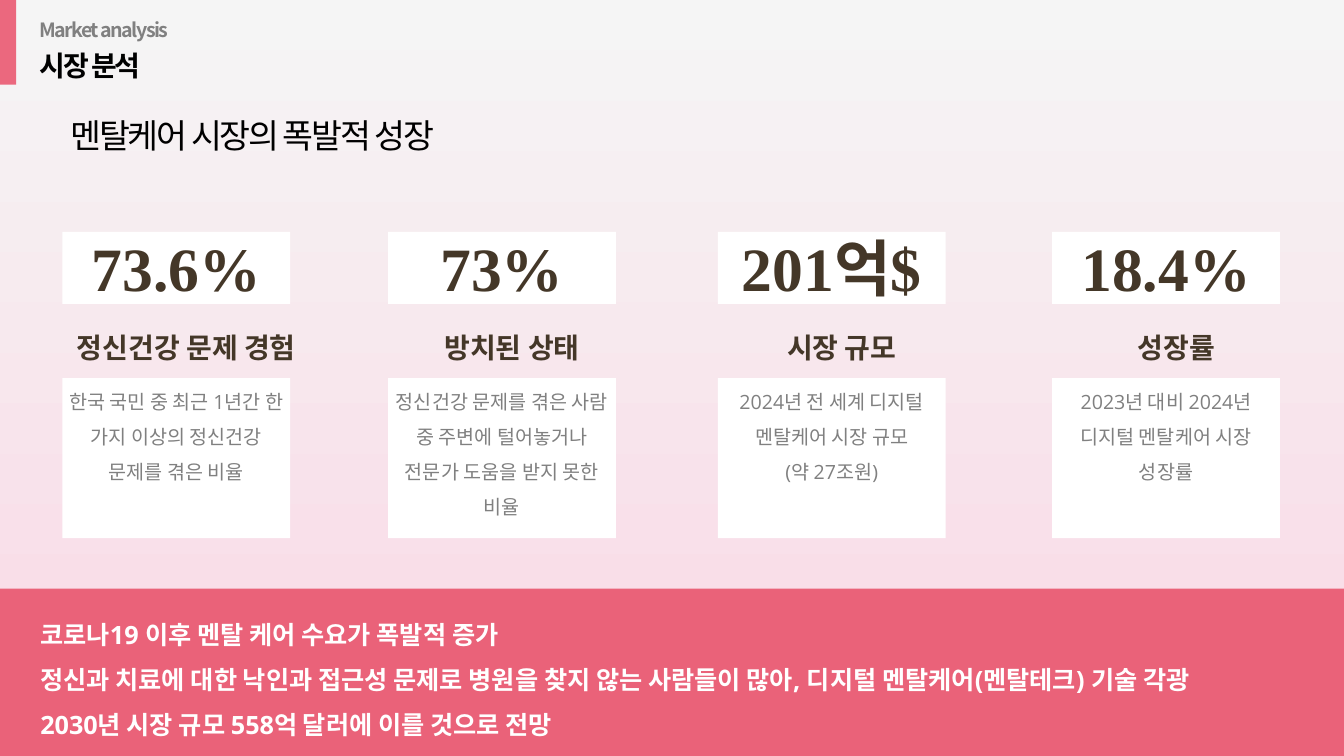
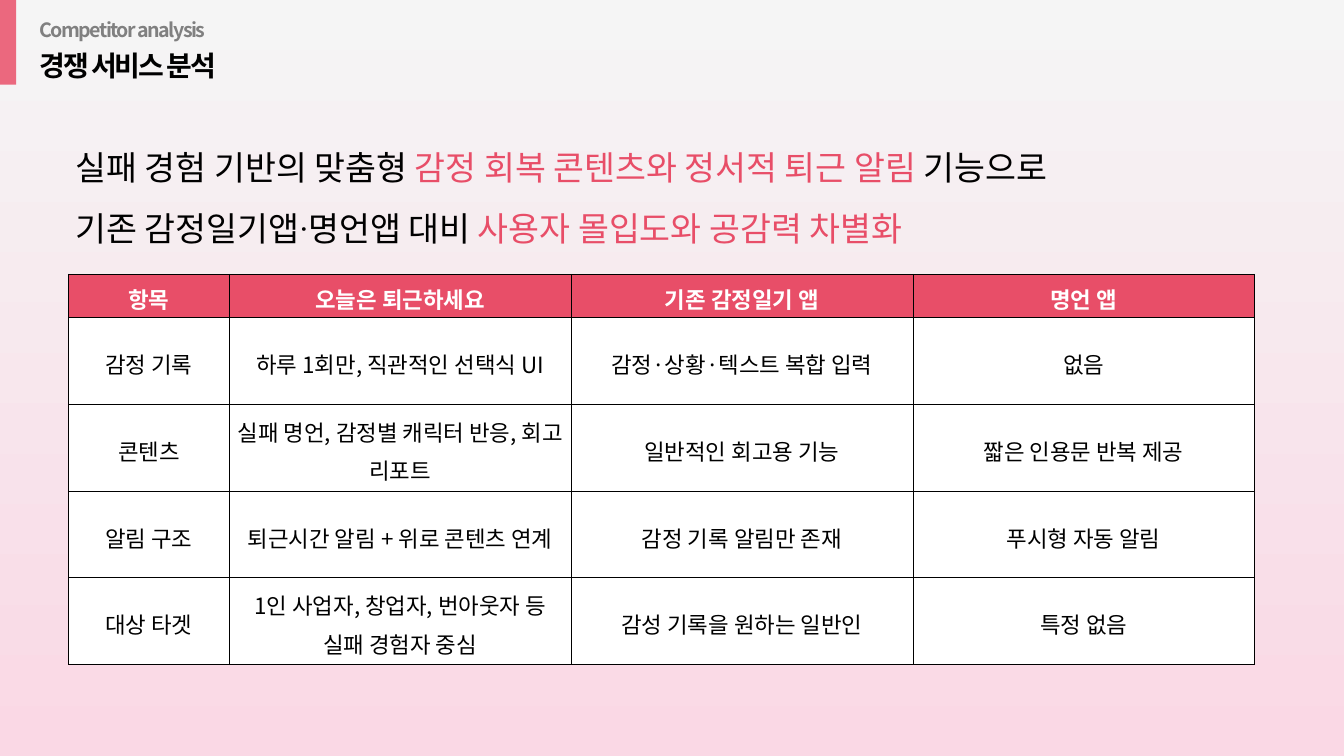
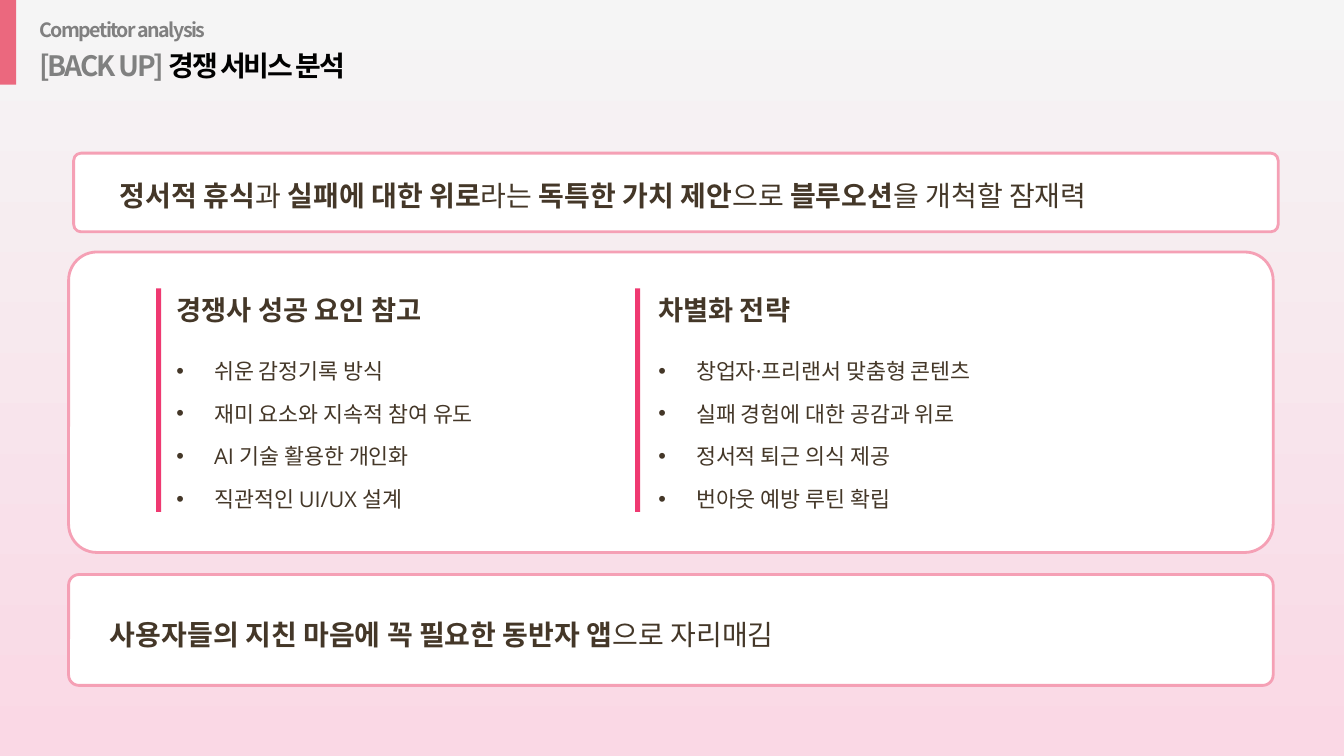
from dataclasses import dataclass

from lxml import etree
from pptx import Presentation
from pptx.dml.color import RGBColor
from pptx.enum import shapes as sh, text as tx
from pptx.oxml.ns import qn
from pptx.util import Pt


# Theme: colours, fonts and type sizes
@dataclass(frozen=True)
class Theme:
    sky: str = "F5F5F5"
    blush: str = "FAD8E5"
    tab: str = "EB687E"
    band: str = "EA6279"
    accent: str = "E84E68"
    rule: str = "EF3971"
    outline: str = "F5A0B5"
    white: str = "FFFFFF"
    black: str = "000000"
    grey: str = "808080"
    brown: str = "443728"
    korean: str = "Noto Sans CJK KR"
    body: str = "Open Sans"
    serif: str = "Times New Roman"
    lead: str = "Roboto"
    figure_size: float = 44
    lead_size: float = 24
    title_size: float = 20
    band_size: float = 18
    table_size: float = 16
    list_size: float = 15.5
    small_size: float = 14


T = Theme()
W, H = 960, 540
LEFT, CENTER = tx.PP_ALIGN.LEFT, tx.PP_ALIGN.CENTER
TOP, MIDDLE = tx.MSO_ANCHOR.TOP, tx.MSO_ANCHOR.MIDDLE
RECT, ROUND = sh.MSO_SHAPE.RECTANGLE, sh.MSO_SHAPE.ROUNDED_RECTANGLE

# Content: a paragraph is a string or a list of (text, run format) pairs
MARKET_LEAD = "멘탈케어 시장의 폭발적 성장"
MARKET_CARDS = [  # left edge, figure, label, explanation
    (44.6, "73.6%", "정신건강 문제 경험",
     ["한국 국민 중 최근 1년간 한 가지 이상의 정신건강 문제를 겪은 비율"]),
    (277.2, "73%", "방치된 상태",
     ["정신건강 문제를 겪은 사람 중 주변에 털어놓거나 전문가 도움을 받지 못한 비율"]),
    (512.8, "201억$", "시장 규모",
     ["2024년 전 세계 디지털 멘탈케어 시장 규모", "(약 27조원)"]),
    (751.6, "18.4%", "성장률",
     ["2023년 대비 2024년 디지털 멘탈케어 시장 성장률"]),
]
MARKET_SUMMARY = [
    "코로나19 이후 멘탈 케어 수요가 폭발적 증가",
    "정신과 치료에 대한 낙인과 접근성 문제로 병원을 찾지 않는 사람들이 많아, "
    "디지털 멘탈케어(멘탈테크) 기술 각광",
    "2030년 시장 규모 558억 달러에 이를 것으로 전망",
]
PINK, BOLD, GREY = {"color": T.accent}, {"bold": True}, {"color": T.grey}
RIVAL_LEAD = [
    [("실패 경험 기반의 맞춤형 ", {}),
     ("감정 회복 콘텐츠와 정서적 퇴근 알림", PINK), (" 기능으로", {})],
    [("기존 감정일기앱·명언앱 대비 ", {}), ("사용자 몰입도와 공감력 차별화", PINK)],
]
RIVAL_TABLE = [
    ("항목", "오늘은 퇴근하세요", "기존 감정일기 앱", "명언 앱"),
    ("감정 기록", "하루 1회만, 직관적인 선택식 UI", "감정·상황·텍스트 복합 입력", "없음"),
    ("콘텐츠", "실패 명언, 감정별 캐릭터 반응, 회고 리포트",
     "일반적인 회고용 기능", "짧은 인용문 반복 제공"),
    ("알림 구조", "퇴근시간 알림 + 위로 콘텐츠 연계", "감정 기록 알림만 존재", "푸시형 자동 알림"),
    ("대상 타겟", "1인 사업자, 창업자, 번아웃자 등 실패 경험자 중심",
     "감성 기록을 원하는 일반인", "특정 없음"),
]
BACKUP_TITLE = [("[BACK UP] ", GREY), ("경쟁 서비스 분석", {})]
BACKUP_PANELS = [  # left, top, height
    (52.6, 109.4, 56.2), (49, 180, 214.6), (49, 410.4, 79.2),
]
BACKUP_CLAIMS = [  # left, top, paragraph
    (85.7, 126.7, [("정서적 휴식", BOLD), ("과 ", {}), ("실패에 대한 위로", BOLD), ("라는 ", {}),
                   ("독특한 가치 제안", BOLD), ("으로 ", {}), ("블루오션", BOLD),
                   ("을 개척할 잠재력", {})]),
    (78.5, 440, [("사용자들의 지친 마음에 꼭 필요한 동반자 앱", BOLD), ("으로 자리매김", {})]),
]
BACKUP_LISTS = [  # rule left, text left, heading, items
    (111.6, 126, "경쟁사 성공 요인 참고",
     ["쉬운 감정기록 방식", "재미 요소와 지속적 참여 유도", "AI 기술 활용한 개인화",
      "직관적인 UI/UX 설계"]),
    (453.6, 470.2, "차별화 전략",
     ["창업자·프리랜서 맞춤형 콘텐츠", "실패 경험에 대한 공감과 위로", "정서적 퇴근 의식 제공",
      "번아웃 예방 루틴 확립"]),
]


# Helpers
def rgb(color):
    return RGBColor.from_string(color)


def add_run(p, text, size, font, color, bold=False, spacing=0):
    r = p.add_run()
    r.text = text
    r.font.size, r.font.bold, r.font.name = Pt(size), bold, font
    r.font.color.rgb = rgb(color)
    rpr = r.font._element
    if spacing:
        rpr.set("spc", str(round(spacing * 100)))
    etree.SubElement(rpr, qn("a:ea")).set("typeface", T.korean)


def write(tf, paragraphs, align=LEFT, line=1.0, gap=0, bullet=None, indent=0,
          inset=(0, 0), anchor=TOP, **font):
    """Fill a text frame; a line spacing above 10 is an exact height in points."""
    tf.word_wrap, tf.auto_size = True, tx.MSO_AUTO_SIZE.NONE
    tf.vertical_anchor = anchor
    tf.margin_left = tf.margin_right = Pt(inset[0])
    tf.margin_top = tf.margin_bottom = Pt(inset[1])
    for i, para in enumerate(paragraphs):
        p = tf.add_paragraph() if i else tf.paragraphs[0]
        ppr = p._p.get_or_add_pPr()
        ppr.set("marL", str(Pt(indent)))
        ppr.set("indent", str(-Pt(indent)))
        if bullet:
            etree.SubElement(ppr, qn("a:buChar")).set("char", bullet)
        else:
            etree.SubElement(ppr, qn("a:buNone"))
        p.alignment = align
        p.line_spacing = Pt(line) if line > 10 else line
        p.space_before, p.space_after = Pt(gap if i else 0), Pt(0)
        for text, extra in [(para, {})] if isinstance(para, str) else para:
            add_run(p, text, **{**font, **extra})


def add_block(s, box, fill, kind=RECT, outline=None):
    sp = s.shapes.add_shape(kind, *map(Pt, box))
    sp.shadow.inherit = False
    sp.fill.solid()
    sp.fill.fore_color.rgb = rgb(fill)
    if outline:
        sp.line.color.rgb, sp.line.width = rgb(outline), Pt(2)
    else:
        sp.line.fill.background()
    return sp


def add_text(s, box, paragraphs, **fmt):
    write(s.shapes.add_textbox(*map(Pt, box)).text_frame, paragraphs, **fmt)


def fill_placeholder(s, idx, box, paragraphs, **fmt):
    """Move a placeholder into place, above the shapes drawn so far."""
    ph = s.placeholders[idx]
    ph.left, ph.top, ph.width, ph.height = map(Pt, box)
    s.shapes._spTree.append(ph._element)
    write(ph.text_frame, paragraphs, **fmt)


def set_background(master):
    fill = master.background.fill
    fill.gradient()
    fill.gradient_angle = 270
    for stop, color in zip(fill.gradient_stops, (T.sky, T.blush)):
        stop.color.rgb = rgb(color)


def new_slide(prs, layout, kicker, title):
    s = prs.slides.add_slide(prs.slide_layouts[layout])
    add_block(s, (0, 0, 11.5, 60.5), T.tab)
    head = dict(font=T.korean, bold=True, inset=(7.2, 3.6))
    add_text(s, (20.9, 9.4, 400, 24.5), [kicker], size=T.small_size,
             color=T.grey, spacing=-1.1, **head)
    fill_placeholder(s, 0, (20.9, 31, 600, 31.7), [title], size=T.title_size,
                     color=T.black, spacing=-1.5, **head)
    return s


def set_borders(cell, color, width):
    tcpr = cell._tc.get_or_add_tcPr()
    for i, side in enumerate(("lnL", "lnR", "lnT", "lnB")):
        ln = etree.Element(qn("a:" + side), w=str(Pt(width)))
        fill = etree.SubElement(ln, qn("a:solidFill"))
        etree.SubElement(fill, qn("a:srgbClr")).set("val", color)
        tcpr.insert(i, ln)


# Slides
def market_slide(prs):
    s = new_slide(prs, 1, "Market analysis", "시장 분석")
    add_text(s, (43.2, 78.5, 500, 36), [MARKET_LEAD], size=T.lead_size,
             font=T.korean, color=T.black, spacing=-1.5, inset=(7.2, 3.6))
    card_w = 162.7
    strong = dict(align=CENTER, font=T.serif, color=T.brown, bold=True)
    for x, figure, label, note in MARKET_CARDS:
        sp = add_block(s, (x, 165.6, card_w, 51.5), T.white)
        write(sp.text_frame, [figure], line=51.5, size=T.figure_size, **strong)
        add_text(s, (x + 7.2, 236.2, card_w, 24.5), [label], line=24,
                 size=T.title_size, **strong)
        sp = add_block(s, (x, 270, card_w, 114.5), T.white)
        write(sp.text_frame, note, align=CENTER, line=25, size=T.small_size,
              font=T.body, color=T.grey)
    add_block(s, (0, 420.5, W, H - 420.5), T.band)
    fill_placeholder(s, 1, (28.8, 431.3, 922, 100), MARKET_SUMMARY, line=1.5,
                     size=T.band_size, font=T.body, color=T.white, bold=True)


def rival_slide(prs):
    s = new_slide(prs, 1, "Competitor analysis", "경쟁 서비스 분석")
    fill_placeholder(s, 1, (46.8, 87.1, 825, 90.7), RIVAL_LEAD, line=1.5,
                     size=T.lead_size, font=T.lead, color=T.black, inset=(7.2, 3.6))
    widths = [114.8] + [244.1] * 3
    heights = [31] + [61.9] * 4
    frame = s.shapes.add_table(len(heights), len(widths), Pt(49), Pt(195.8),
                               Pt(sum(widths)), Pt(sum(heights)))
    table = frame.table
    table.first_row = table.horz_banding = False
    for col, width in zip(table.columns, widths):
        col.width = Pt(width)
    for i, (row, height) in enumerate(zip(table.rows, heights)):
        row.height = Pt(height)
        header = i == 0
        for cell, text in zip(row.cells, RIVAL_TABLE[i]):
            write(cell.text_frame, [text], align=CENTER, line=1.2, size=T.table_size,
                  font=T.korean, color=T.white if header else T.black, bold=header)
            cell.vertical_anchor = MIDDLE
            cell.margin_left = cell.margin_right = Pt(5)
            cell.margin_top = cell.margin_bottom = Pt(1.5)
            cell.fill.solid()
            cell.fill.fore_color.rgb = rgb(T.accent if header else T.white)
            set_borders(cell, T.black, 0.28)


def backup_slide(prs):
    s = new_slide(prs, 3, "Competitor analysis", BACKUP_TITLE)
    for x, y, height in BACKUP_PANELS:
        sp = add_block(s, (x, y, 860.4, height), T.white, ROUND, T.outline)
        sp.adjustments[0] = 0.094
    for x, y, claim in BACKUP_CLAIMS:
        add_text(s, (x, y, 760, 25), [claim], line=25, size=T.title_size,
                 font=T.body, color=T.brown)
    for idx, (rule_x, x, heading, items) in enumerate(BACKUP_LISTS, 1):
        add_block(s, (rule_x, 205.9, 3.6, 159.8), T.rule)
        add_text(s, (x, 208.8, 300, 24.5), [heading], line=24, size=19.5,
                 font=T.serif, color=T.brown, bold=True)
        fill_placeholder(s, idx, (x, 249.1, 320, 117), items, line=25, gap=5.5,
                         bullet="•", indent=27, size=T.list_size, font=T.body,
                         color=T.brown)


def main():
    prs = Presentation()
    prs.slide_width, prs.slide_height = Pt(W), Pt(H)
    set_background(prs.slide_master)
    for build in (market_slide, rival_slide, backup_slide):
        build(prs)
    prs.save("out.pptx")


if __name__ == "__main__":
    main()
